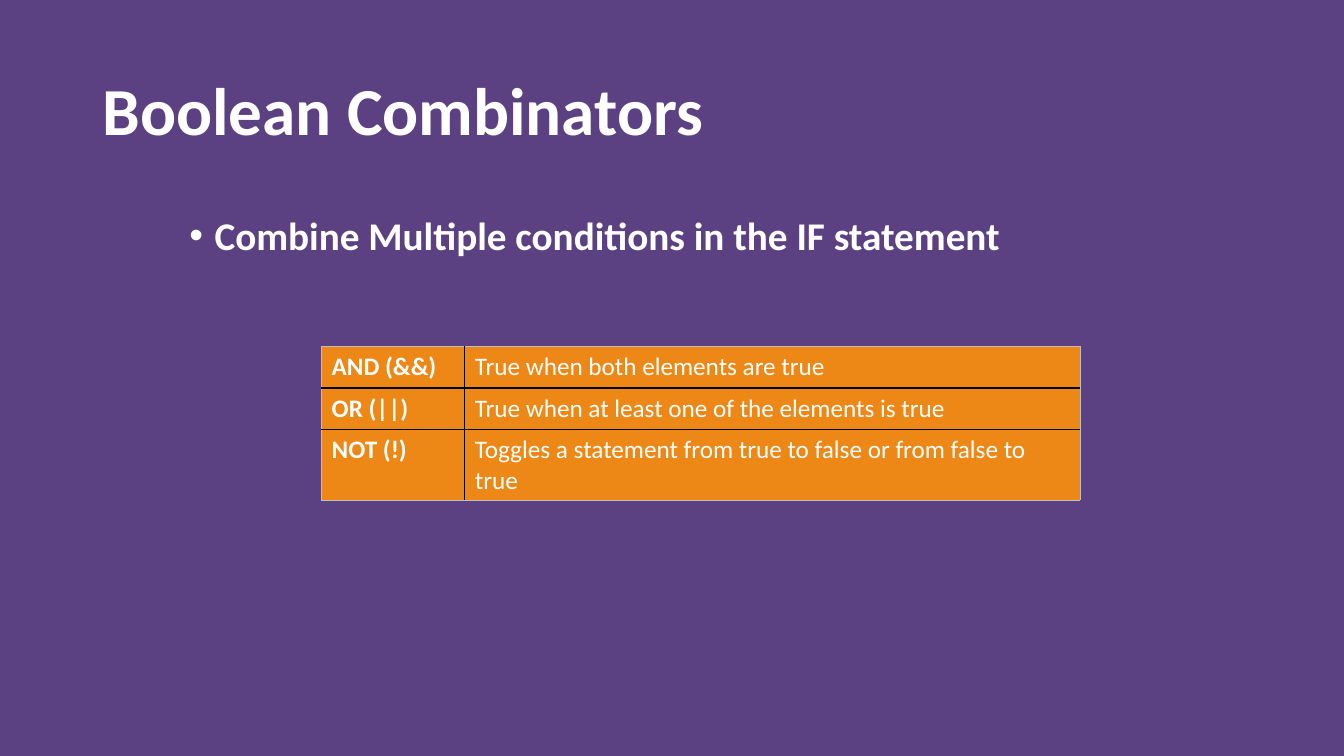
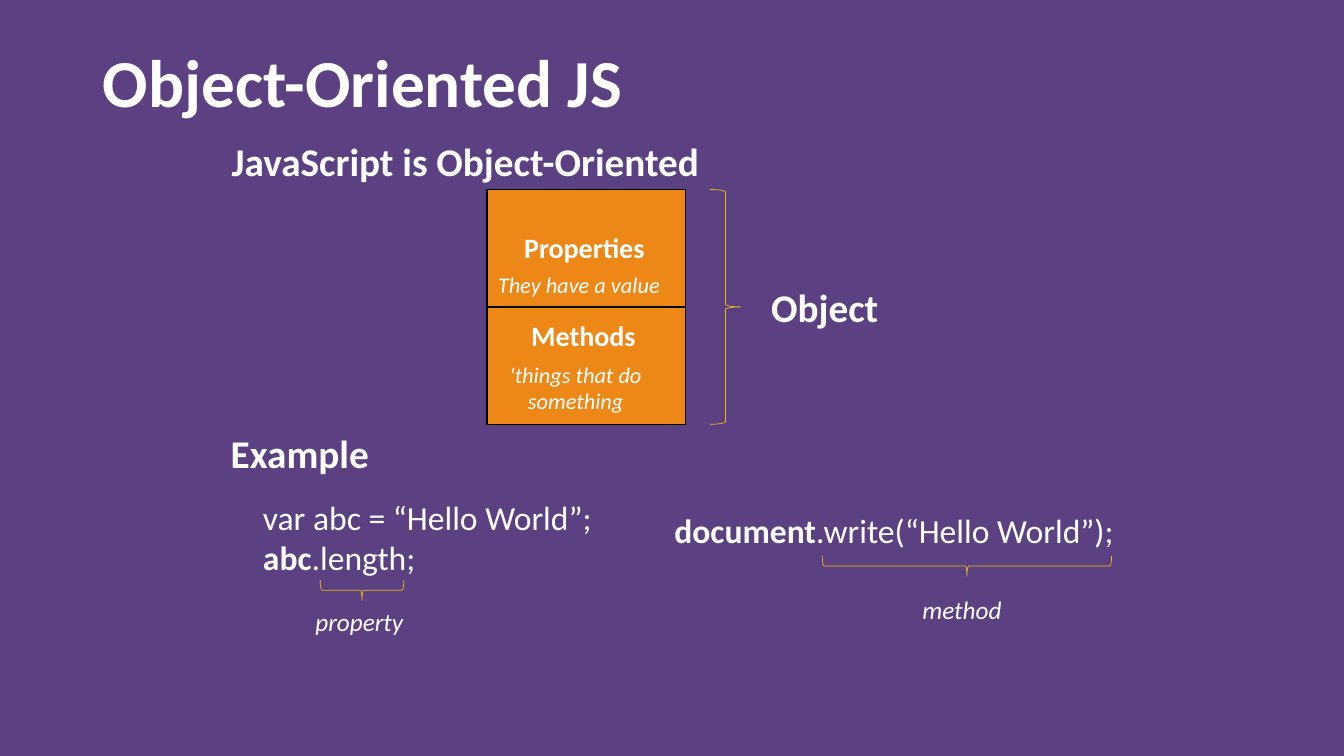
"""Build two slides on Boolean combinators and object-oriented JavaScript."""
from dataclasses import dataclass

from lxml.etree import SubElement
from pptx import Presentation
from pptx.dml.color import RGBColor
from pptx.enum.shapes import MSO_CONNECTOR, MSO_SHAPE
from pptx.enum.text import MSO_ANCHOR, MSO_AUTO_SIZE, PP_ALIGN
from pptx.oxml.ns import qn
from pptx.presentation import Presentation as Deck
from pptx.slide import Slide
from pptx.table import _Cell as Cell
from pptx.text.text import TextFrame, _Paragraph as Paragraph
from pptx.util import Inches, Pt

PURPLE, ORANGE, GOLD = "5B4181", "ED8716", "EDB716"
WHITE, BLACK, EDGE = "FFFFFF", "000000", "BFBFBF"
FONT = "Calibri"

COMBINATORS = [
    ("AND (&&)", "True when both elements are true"),
    ("OR (||)", "True when at least one of the elements is true"),
    ("NOT (!)", "Toggles a statement from true to false or from false to true"),
]
COLUMN_WIDTHS = [1.42, 6.1]
ROW_HEIGHTS = [0.41, 0.41, 0.69]


@dataclass(frozen=True)
class Line:
    text: str
    bold_lead: str = ""


@dataclass(frozen=True)
class Label:
    left: float
    top: float
    width: float
    height: float
    size: int
    lines: tuple[Line, ...]
    bold: bool = False
    italic: bool = False
    align: PP_ALIGN = PP_ALIGN.LEFT


@dataclass(frozen=True)
class Brace:
    left: float
    top: float
    width: float
    height: float
    rotation: int = 0


BOX_LEFT, BOX_TOP, BOX_WIDTH, BOX_HEIGHT = 4.83, 1.88, 1.97, 2.33

LABELS = [
    Label(2.2, 1.31, 4.9, 0.57, 28, (Line("JavaScript is Object-Oriented"),), bold=True),
    Label(7.55, 2.76, 1.28, 0.57, 28, (Line("Object"),), bold=True),
    Label(2.19, 4.21, 1.59, 0.57, 28, (Line("Example"),), bold=True),
    Label(5.1, 2.24, 1.44, 0.44, 20, (Line("Properties"),), bold=True),
    Label(5.17, 3.11, 1.25, 0.44, 20, (Line("Methods"),), bold=True),
    Label(4.84, 2.64, 1.84, 0.37, 16, (Line("They have a value"),), italic=True),
    Label(4.92, 3.53, 1.58, 0.64, 16, (Line("'things that do"), Line("something")),
          italic=True, align=PP_ALIGN.CENTER),
    Label(2.51, 4.88, 3.59, 0.91, 24,
          (Line("var abc = “Hello World”;"), Line(".length;", "abc"))),
    Label(6.59, 5.01, 4.65, 0.5, 24, (Line(".write(“Hello World”);", "document"),)),
    Label(3.03, 5.97, 1.1, 0.4, 18, (Line("property"),), italic=True),
    Label(9.05, 5.85, 1.01, 0.4, 18, (Line("method"),), italic=True),
]
BRACES = [
    Brace(7.04, BOX_TOP, 0.31, BOX_HEIGHT),
    Brace(3.49, 5.44, 0.2, 0.83, 90),
    Brace(9.49, 4.18, 0.2, 2.87, 90),
]


def color(value: str) -> RGBColor:
    """Turn a hex string into a colour."""
    return RGBColor.from_string(value)


def style(paragraph: Paragraph, size: int, bold: bool | None = False,
          italic: bool = False) -> None:
    """Set the font of a whole paragraph."""
    font = paragraph.font
    font.name, font.size = FONT, Pt(size)
    font.bold, font.italic = bold, italic
    font.color.rgb = color(WHITE)


def add_text_frame(slide: Slide, left: float, top: float,
                   width: float, height: float) -> TextFrame:
    """Add a text box and return its frame."""
    return slide.shapes.add_textbox(
        Inches(left), Inches(top), Inches(width), Inches(height)).text_frame


def add_titled_slide(deck: Deck, title: str, height: float) -> Slide:
    """Add a purple slide with its title."""
    slide = deck.slides.add_slide(deck.slide_layouts[6])
    slide.background.fill.solid()
    slide.background.fill.fore_color.rgb = color(PURPLE)
    frame = add_text_frame(slide, 0.92, 0.4, 11.5, height)
    frame.word_wrap = True
    frame.vertical_anchor = MSO_ANCHOR.MIDDLE
    heading = frame.paragraphs[0]
    heading.text = title
    heading.line_spacing = 0.9
    style(heading, 48, bold=True)
    return slide


def add_bullet(slide: Slide, text: str) -> None:
    """Add the bulleted statement under the title."""
    frame = add_text_frame(slide, 1.78, 2.1, 9.05, 0.8)
    frame.word_wrap = True
    statement = frame.paragraphs[0]
    statement.text = text
    statement.line_spacing = 0.9
    properties = statement._p.get_or_add_pPr()
    properties.set("marL", str(Inches(0.25)))
    properties.set("indent", str(-Inches(0.25)))
    SubElement(properties, qn("a:buFont"), typeface="Arial")
    SubElement(properties, qn("a:buChar"), char="•")
    style(statement, 28, bold=True)


def add_border(cell: Cell, side: str, line_color: str, width: float) -> None:
    """Draw one side of a cell."""
    line = SubElement(cell._tc.get_or_add_tcPr(), qn(f"a:ln{side}"), w=str(Pt(width)))
    SubElement(SubElement(line, qn("a:solidFill")), qn("a:srgbClr"), val=line_color)


def add_combinator_table(slide: Slide) -> None:
    """Add the table of combinators with black inner lines."""
    last_row, last_column = len(COMBINATORS) - 1, len(COLUMN_WIDTHS) - 1
    table = slide.shapes.add_table(
        len(COMBINATORS), len(COLUMN_WIDTHS), Inches(3.19), Inches(3.44),
        Inches(sum(COLUMN_WIDTHS)), Inches(sum(ROW_HEIGHTS))).table
    table.first_row = table.horz_banding = False
    for column, width in zip(table.columns, COLUMN_WIDTHS):
        column.width = Inches(width)
    for row, height in zip(table.rows, ROW_HEIGHTS):
        row.height = Inches(height)
    for r, entries in enumerate(COMBINATORS):
        for c, text in enumerate(entries):
            cell = table.cell(r, c)
            outer = {"L": c == 0, "R": c == last_column, "T": r == 0, "B": r == last_row}
            for side, is_outer in outer.items():
                add_border(cell, side, *((EDGE, 0.5) if is_outer else (BLACK, 1)))
            cell.fill.solid()
            cell.fill.fore_color.rgb = color(ORANGE)
            cell.text = text
            style(cell.text_frame.paragraphs[0], 18, bold=c == 0)


def add_label(slide: Slide, label: Label) -> None:
    """Add a text label that hugs its lines."""
    frame = add_text_frame(slide, label.left, label.top, label.width, label.height)
    frame.word_wrap = False
    frame.auto_size = MSO_AUTO_SIZE.SHAPE_TO_FIT_TEXT
    for index, line in enumerate(label.lines):
        paragraph = frame.add_paragraph() if index else frame.paragraphs[0]
        paragraph.alignment = label.align
        if line.bold_lead:
            lead = paragraph.add_run()
            lead.text = line.bold_lead
            lead.font.bold = True
        paragraph.add_run().text = line.text
        style(paragraph, label.size, label.bold, label.italic)


def add_brace(slide: Slide, brace: Brace) -> None:
    """Add a thin gold brace."""
    shape = slide.shapes.add_shape(
        MSO_SHAPE.RIGHT_BRACE, Inches(brace.left), Inches(brace.top),
        Inches(brace.width), Inches(brace.height))
    shape.rotation = brace.rotation
    shape.shadow.inherit = False
    shape.fill.background()
    shape.line.color.rgb = color(GOLD)
    shape.line.width = Pt(0.5)


def add_object_box(slide: Slide) -> None:
    """Add the orange box split into properties and methods."""
    box = slide.shapes.add_shape(
        MSO_SHAPE.RECTANGLE, Inches(BOX_LEFT), Inches(BOX_TOP),
        Inches(BOX_WIDTH), Inches(BOX_HEIGHT))
    box.shadow.inherit = False
    box.fill.solid()
    box.fill.fore_color.rgb = color(ORANGE)
    middle = Inches(BOX_TOP + BOX_HEIGHT / 2)
    divider = slide.shapes.add_connector(
        MSO_CONNECTOR.STRAIGHT, Inches(BOX_LEFT), middle,
        Inches(BOX_LEFT + BOX_WIDTH), middle)
    for outline in (box.line, divider.line):
        outline.color.rgb = color(BLACK)
        outline.width = Pt(1)
    SubElement(divider._element.spPr, qn("a:effectLst"))


def main() -> None:
    """Build and save the deck."""
    deck = Presentation()
    deck.slide_width, deck.slide_height = Inches(13.33), Inches(7.5)

    combinators = add_titled_slide(deck, "Boolean Combinators", 1.45)
    add_bullet(combinators, "Combine Multiple conditions in the IF statement")
    add_combinator_table(combinators)

    objects = add_titled_slide(deck, "Object-Oriented JS", 0.91)
    add_object_box(objects)
    for brace in BRACES:
        add_brace(objects, brace)
    for label in LABELS:
        add_label(objects, label)

    deck.save("out.pptx")


if __name__ == "__main__":
    main()
